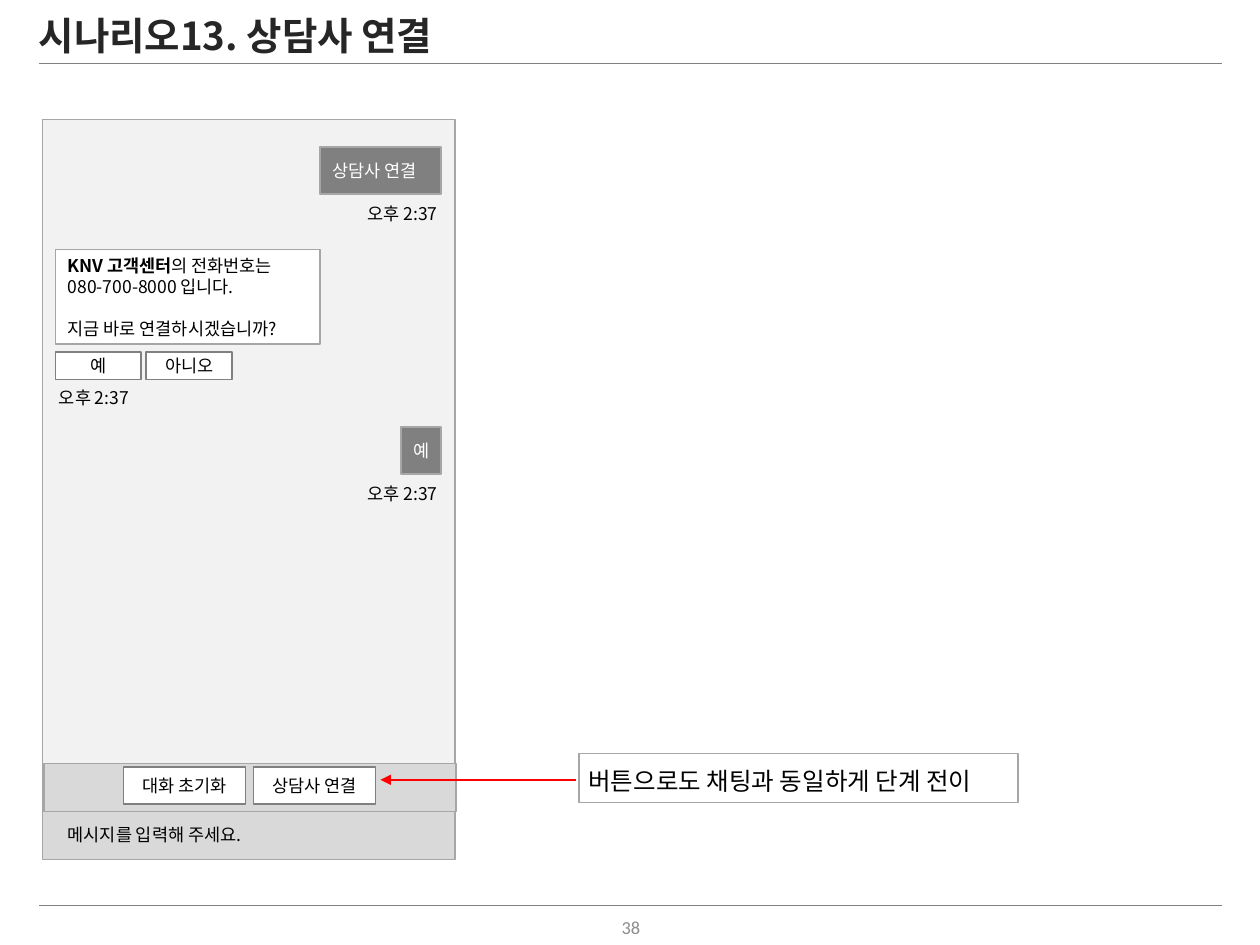
from dataclasses import dataclass
from typing import Optional

import pptx
import pptx.dml.color
import pptx.enum.shapes
import pptx.enum.text
import pptx.oxml
import pptx.oxml.ns
import pptx.util

Cm, Pt = pptx.util.Cm, pptx.util.Pt
ALIGN = pptx.enum.text.PP_ALIGN
ANCHOR = pptx.enum.text.MSO_ANCHOR
SHAPE = pptx.enum.shapes.MSO_SHAPE


@dataclass(frozen=True)
class Theme:
    korean: str = "Noto Sans CJK KR"
    latin: str = "Calibri"
    title_size: float = 22
    note_size: float = 14
    number_size: float = 10.5
    chat_size: float = 10
    title: str = "262626"
    number: str = "8C8C8C"
    ink: str = "000000"
    white: str = "FFFFFF"
    dark: str = "808080"
    border: str = "A6A6A6"
    bar: str = "D9D9D9"
    screen: str = "F2F2F2"
    arrow: str = "FF0000"


THEME = Theme()


@dataclass(frozen=True)
class Box:
    """Position and size in centimetres."""
    left: float
    top: float
    width: float
    height: float

    def lengths(self) -> list:
        return [Cm(v) for v in (self.left, self.top, self.width, self.height)]


@dataclass(frozen=True)
class Button:
    label: str
    box: Box
    font: str
    outline: int = SHAPE.RECTANGLE


@dataclass(frozen=True)
class UserMessage:
    words: str
    top: float
    width: float


def rgb(color: str):
    return pptx.dml.color.RGBColor.from_string(color)


def write(frame, text, *, size=THEME.chat_size, font=THEME.korean, color=THEME.ink,
          bold=False, align=ALIGN.LEFT, anchor=ANCHOR.MIDDLE, wrap=True, gap=0):
    """Fill a frame; text is a string or a list of paragraphs of (words, bold) runs."""
    frame.word_wrap = wrap
    frame.vertical_anchor = anchor
    paragraphs = [[(text, bold)]] if isinstance(text, str) else text
    for index, runs in enumerate(paragraphs):
        paragraph = frame.add_paragraph() if index else frame.paragraphs[0]
        paragraph.alignment = align
        if index:
            paragraph.space_before = Pt(gap)
        for words, heavy in runs:
            run = paragraph.add_run()
            run.text = words
            run.font.size, run.font.bold, run.font.name = Pt(size), heavy, font
            run.font.color.rgb = rgb(color)
            east_asian = pptx.oxml.parse_xml(
                f'<a:ea {pptx.oxml.ns.nsdecls("a")} typeface="{THEME.korean}"/>')
            run.font._element.find(pptx.oxml.ns.qn("a:latin")).addnext(east_asian)


def add_panel(slide, box: Box, fill: Optional[str], line: str = THEME.border,
              outline: int = SHAPE.RECTANGLE):
    panel = slide.shapes.add_shape(outline, *box.lengths())
    panel.shadow.inherit = False
    if fill:
        panel.fill.solid()
        panel.fill.fore_color.rgb = rgb(fill)
    else:
        panel.fill.background()
    panel.line.color.rgb = rgb(line)
    panel.line.width = Pt(1)
    if outline == SHAPE.ROUNDED_RECTANGLE:
        panel.adjustments[0] = 0
    return panel


def add_label(slide, box: Box, text: str, **style) -> None:
    write(slide.shapes.add_textbox(*box.lengths()).text_frame, text, **style)


def add_line(slide, start: tuple, end: tuple, color: str, width: float,
             arrow: bool = False) -> None:
    line = slide.shapes.add_connector(
        pptx.enum.shapes.MSO_CONNECTOR.STRAIGHT, *[Cm(v) for v in start + end])
    line.line.color.rgb = rgb(color)
    line.line.width = Pt(width)
    namespace = pptx.oxml.ns.nsdecls("a")
    if arrow:
        line.line._get_or_add_ln().append(
            pptx.oxml.parse_xml(f'<a:tailEnd {namespace} type="triangle"/>'))
    line._element.spPr.append(pptx.oxml.parse_xml(f"<a:effectLst {namespace}/>"))


def add_button(slide, button: Button) -> None:
    panel = add_panel(slide, button.box, THEME.white, THEME.dark, button.outline)
    write(panel.text_frame, button.label, font=button.font, align=ALIGN.CENTER)


def add_user_message(slide, message: UserMessage) -> None:
    right_edge = 8.89
    bubble = add_panel(slide, Box(right_edge - message.width, message.top,
                                  message.width, 0.94), THEME.dark)
    write(bubble.text_frame, message.words, color=THEME.white)
    add_label(slide, Box(6.81, message.top + 1.07, 2.26, 0.53), SENT_AT, align=ALIGN.RIGHT)


SENT_AT = "오후 2:37"
MENU = [Button(label, Box(2.49 + 2.62 * i, 15.47, 2.46, 0.74), THEME.latin)
        for i, label in enumerate(["대화 초기화", "상담사 연결"])]
REPLIES = [Button(label, Box(1.12 + 1.83 * i, 7.09, 1.73, 0.56), THEME.korean,
                  SHAPE.ROUNDED_RECTANGLE)
           for i, label in enumerate(["예", "아니오"])]
USER_MESSAGES = [UserMessage("상담사 연결", 2.97, 2.44), UserMessage("예", 8.61, 0.81)]
ANSWER = [[("KNV 고객센터", True), ("의 전화번호는 080-700-8000 입니다.", False)],
          [("지금 바로 연결하시겠습니까?", False)]]


def main() -> None:
    deck = pptx.Presentation()
    deck.slide_width, deck.slide_height = Cm(25.4), Cm(19.05)
    slide = deck.slides.add_slide(deck.slide_layouts[5])

    # Title, rules and page number
    for height in (1.27, 18.24):
        add_line(slide, (0.79, height), (24.64, height), THEME.dark, 0.25)
    title = slide.shapes.title
    title.left, title.top, title.width, title.height = Box(0.53, 0.23, 24.8, 1.12).lengths()
    write(title.text_frame, "시나리오13. 상담사 연결", size=THEME.title_size,
          color=THEME.title, bold=True, anchor=ANCHOR.TOP)
    title.text_frame.auto_size = pptx.enum.text.MSO_AUTO_SIZE.NONE
    heading = title.text_frame.paragraphs[0]
    heading.line_spacing, heading.space_before, heading.space_after = 0.9, Pt(10), Pt(3)
    add_label(slide, Box(9.86, 18.42, 5.72, 0.53), "38", size=THEME.number_size,
              font=THEME.latin, color=THEME.number, align=ALIGN.CENTER)

    # Chat window with its input and button bars
    add_panel(slide, Box(0.86, 2.41, 8.31, 14.88), THEME.screen)
    add_panel(slide, Box(0.86, 16.36, 8.31, 0.97), THEME.bar)
    add_label(slide, Box(1.12, 16.48, 4.17, 0.69), "메시지를 입력해 주세요.",
              anchor=ANCHOR.TOP, wrap=False)
    add_panel(slide, Box(0.89, 15.39, 8.31, 0.97), THEME.bar)

    # Conversation
    for message in USER_MESSAGES:
        add_user_message(slide, message)
    answer = add_panel(slide, Box(1.12, 5.03, 5.33, 1.91), THEME.white)
    write(answer.text_frame, ANSWER, gap=12)
    add_label(slide, Box(0.94, 7.75, 2.26, 0.53), SENT_AT)
    for button in MENU + REPLIES:
        add_button(slide, button)

    # Note on the button
    add_line(slide, (11.61, 15.72), (7.67, 15.72), THEME.arrow, 1.25, arrow=True)
    add_panel(slide, Box(11.68, 15.19, 8.84, 0.99), None)
    add_label(slide, Box(11.61, 15.32, 10.85, 0.86), "버튼으로도 채팅과 동일하게 단계 전이",
              size=THEME.note_size, font=THEME.latin, anchor=ANCHOR.TOP)

    deck.save("out.pptx")


if __name__ == "__main__":
    main()
